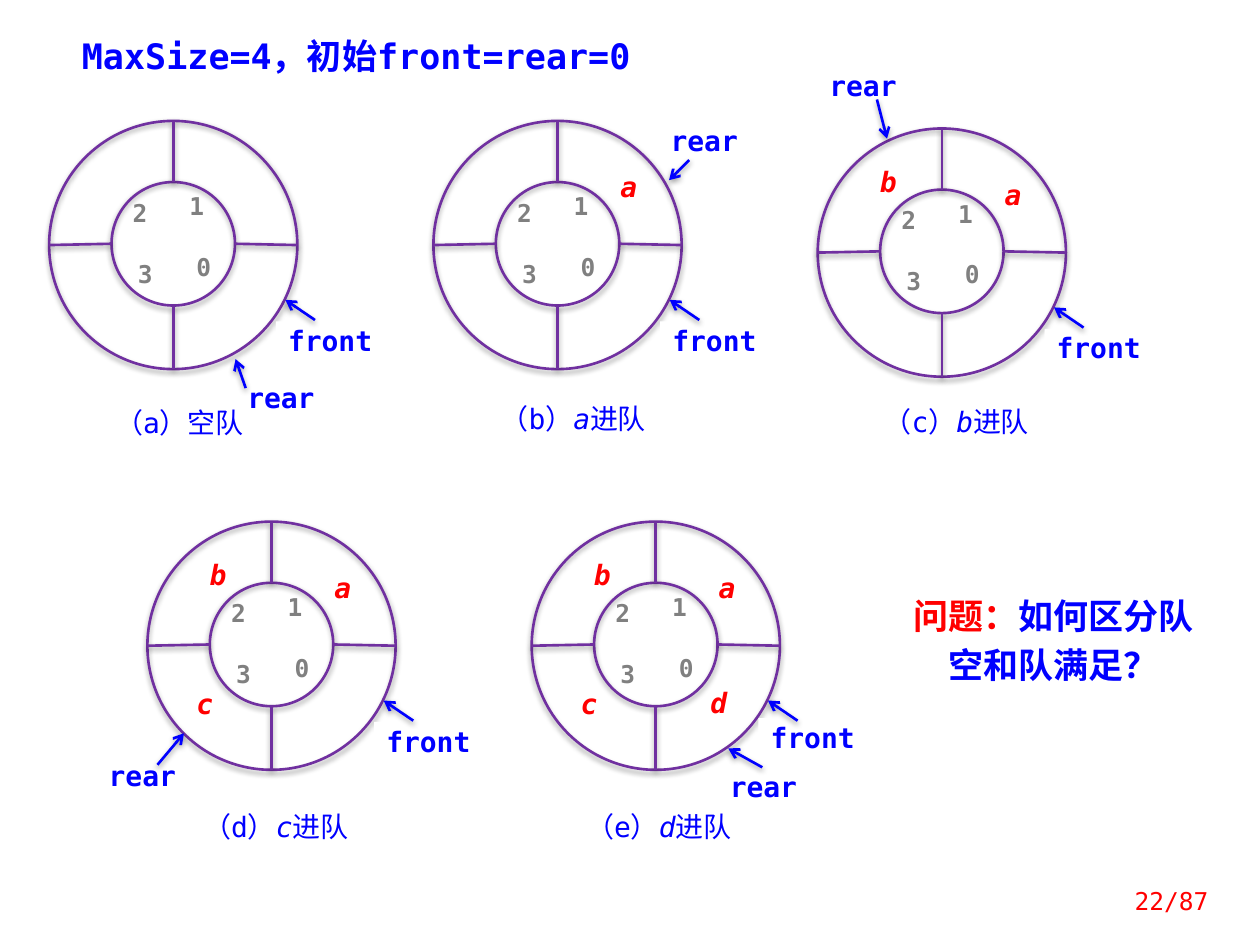
import pptx
import pptx.util
import pptx.dml.color
import pptx.enum.shapes
import pptx.enum.text
import pptx.oxml
import pptx.oxml.ns

Pt = pptx.util.Pt
SHAPE = pptx.enum.shapes.MSO_SHAPE
ALIGN = pptx.enum.text.PP_ALIGN
ANCHOR = pptx.enum.text.MSO_ANCHOR

FONT = "DejaVu Sans Mono"
COLORS = {"blue": "0000FF", "red": "FF0000", "purple": "7030A0",
          "gray": "808080", "white": "FFFFFF"}

COLS, ROWS = 100, 75
RING = 19.7
HUB = 9.8
LABEL = (8.6, 3)
DIGITS = {"0": (10.7, 9.9), "1": (10.15, 5.1), "2": (5.65, 5.6), "3": (6.05, 10.45)}
ELEMENTS = {"a": (13.85, 3.4), "b": (3.95, 2.4), "c": (2.9, 12.6), "d": (13.2, 12.5)}
FRONT_ARROW = (21.1, 15.8, 18.75, 14.2)

RINGS = [
    {"at": (3.9, 9.6), "held": "", "caption": ["（a）空队"], "caption_box": (4.7, 22.4, 11.3),
     "front": (18, 15.9), "rear": (14.1, 20.4), "rear_arrow": (15.6, 21.2, 14.8, 18.9)},
    {"at": (34.4, 9.6), "held": "a", "caption": ["（b）", "a", "进队"], "caption_box": (3.3, 22.1, 15.6),
     "front": (18, 15.9), "rear": (17.2, 0), "rear_arrow": (20.3, 3.1, 18.7, 4.7)},
    {"at": (64.9, 10.2), "held": "ba", "caption": ["（c）", "b", "进队"], "caption_box": (3.2, 21.7, 15.6),
     "front": (18, 15.9), "rear": (-0.7, -4.9), "rear_arrow": (4.7, -2.3, 5.5, 0.8)},
    {"at": (11.7, 41.4), "held": "cba", "caption": ["（d）", "c", "进队"], "caption_box": (2.4, 22.7, 15.6),
     "front": (18, 15.9), "rear": (-4.7, 18.6), "rear_arrow": (0.8, 19.3, 2.9, 16.8)},
    {"at": (42.2, 41.4), "held": "dcba", "caption": ["（e）", "d", "进队"], "caption_box": (2.3, 22.7, 15.6),
     "front": (18, 15.6), "rear": (14.1, 19.5), "rear_arrow": (18.3, 19.5, 15.6, 18)},
]

prs = pptx.Presentation()
prs.slide_width = pptx.util.Inches(10)
prs.slide_height = pptx.util.Inches(7.5)
UNIT = prs.slide_width // COLS


def grid(*values):
    return [round(v * UNIT) for v in values]


def rgb(name):
    return pptx.dml.color.RGBColor.from_string(COLORS[name])


def add_run(p, text, size, color, bold=False, italic=False):
    r = p.add_run()
    r.text = text
    r.font.name = FONT
    r.font.size = Pt(size)
    r.font.bold = bold
    r.font.italic = italic
    r.font.color.rgb = rgb(color)


def style_outline(shape, color):
    shape.line.color.rgb = rgb(color)
    shape.line.width = Pt(1.5)
    spPr = shape._element.spPr
    for old in spPr.findall(pptx.oxml.ns.qn("a:effectLst")):
        spPr.remove(old)
    spPr.append(pptx.oxml.parse_xml(
        f'<a:effectLst {pptx.oxml.ns.nsdecls("a")}>'
        '<a:outerShdw blurRad="40000" dist="20000" dir="5400000" rotWithShape="0">'
        '<a:srgbClr val="000000"><a:alpha val="38000"/></a:srgbClr>'
        '</a:outerShdw></a:effectLst>'))


def add_text(shapes, box, runs, align=ALIGN.LEFT):
    s = shapes.add_textbox(*grid(*box))
    tf = s.text_frame
    tf.word_wrap = True
    p = tf.paragraphs[0]
    p.alignment = align
    for run in runs:
        add_run(p, *run)
    return tf


def add_label(shapes, box, runs):
    s = shapes.add_shape(SHAPE.RECTANGLE, *grid(*box))
    s.shadow.inherit = False
    s.fill.solid()
    s.fill.fore_color.rgb = rgb("white")
    s.line.fill.background()
    tf = s.text_frame
    tf.margin_left = tf.margin_right = tf.margin_top = tf.margin_bottom = 0
    tf.word_wrap = True
    tf.vertical_anchor = ANCHOR.MIDDLE
    p = tf.paragraphs[0]
    p.alignment = ALIGN.CENTER
    for run in runs:
        add_run(p, *run)


def add_line(shapes, ends, color, arrow=False):
    s = shapes.add_connector(pptx.enum.shapes.MSO_CONNECTOR.STRAIGHT, *grid(*ends))
    style_outline(s, color)
    if arrow:
        s.line._get_or_add_ln().append(pptx.oxml.parse_xml(
            f'<a:tailEnd {pptx.oxml.ns.nsdecls("a")} type="arrow"/>'))


def add_ring(slide, at, held, caption, caption_box, front, rear, rear_arrow):
    x, y = at
    shapes = slide.shapes.add_group_shape().shapes

    def shift(points):
        return [v + (x, y)[i % 2] for i, v in enumerate(points)]

    for letter in held:
        add_text(shapes, (*shift(ELEMENTS[letter]), 3.1, 3.7), [(letter, 16, "red", True, True)])

    mid = RING / 2
    inner, outer = (RING - HUB) / 2, (RING + HUB) / 2
    for inset, size in ((inner, HUB), (0, RING)):
        s = shapes.add_shape(SHAPE.OVAL, *grid(x + inset, y + inset - 0.1 * (inset > 0), size, size))
        s.fill.background()
        style_outline(s, "purple")
    for spoke in ((mid, outer - 0.1, mid, RING), (outer, mid - 0.1, RING, mid),
                  (mid, inner - 0.1, mid, 0), (0, mid, inner, mid - 0.1)):
        add_line(shapes, shift(spoke), "purple")

    for digit, place in DIGITS.items():
        add_text(shapes, (*shift(place), 3.1, 3.4), [(digit, 14, "gray", True)])

    for name, place, arrow in (("front", front, FRONT_ARROW), ("rear", rear, rear_arrow)):
        add_label(shapes, (*shift(place), *LABEL), [(name, 16, "blue", True)])
        add_line(shapes, shift(arrow), "blue", arrow=True)

    left, top, width = caption_box
    add_label(shapes, (*shift((left, top)), width, 3),
              [(text, 16, "blue", False, i == 1) for i, text in enumerate(caption)])


def add_title(slide, box):
    s = slide.shapes.title
    s.left, s.top, s.width, s.height = grid(*box)
    tf = s.text_frame
    tf.word_wrap = True
    tf.auto_size = pptx.enum.text.MSO_AUTO_SIZE.NONE
    tf.vertical_anchor = ANCHOR.TOP
    p = tf.paragraphs[0]
    p.alignment = ALIGN.LEFT
    add_run(p, "MaxSize=4，初始front=rear=0", 20, "blue", True)


def add_question(slide, box):
    tf = add_text(slide.shapes, box, [("问题：", 20, "red", True),
                                      ("如何区分队空和队满足？", 20, "blue", True)], ALIGN.CENTER)
    tf.paragraphs[0].line_spacing = Pt(28)


def add_page_number(slide, box):
    tf = add_text(slide.shapes, box, [("22/87", 14, "red")], ALIGN.RIGHT)
    tf.vertical_anchor = ANCHOR.MIDDLE


def main():
    slide = prs.slides.add_slide(prs.slide_layouts.get_by_name("Title Only"))
    add_title(slide, (5.5, 2.2, 47.7, 4.4))
    for ring in RINGS:
        add_ring(slide, **ring)
    add_question(slide, (70.3, 46.1, 26.6, 8.5))
    add_page_number(slide, (86.7, ROWS - 5.5, 10.2, 4))
    prs.save("out.pptx")


if __name__ == "__main__":
    main()
